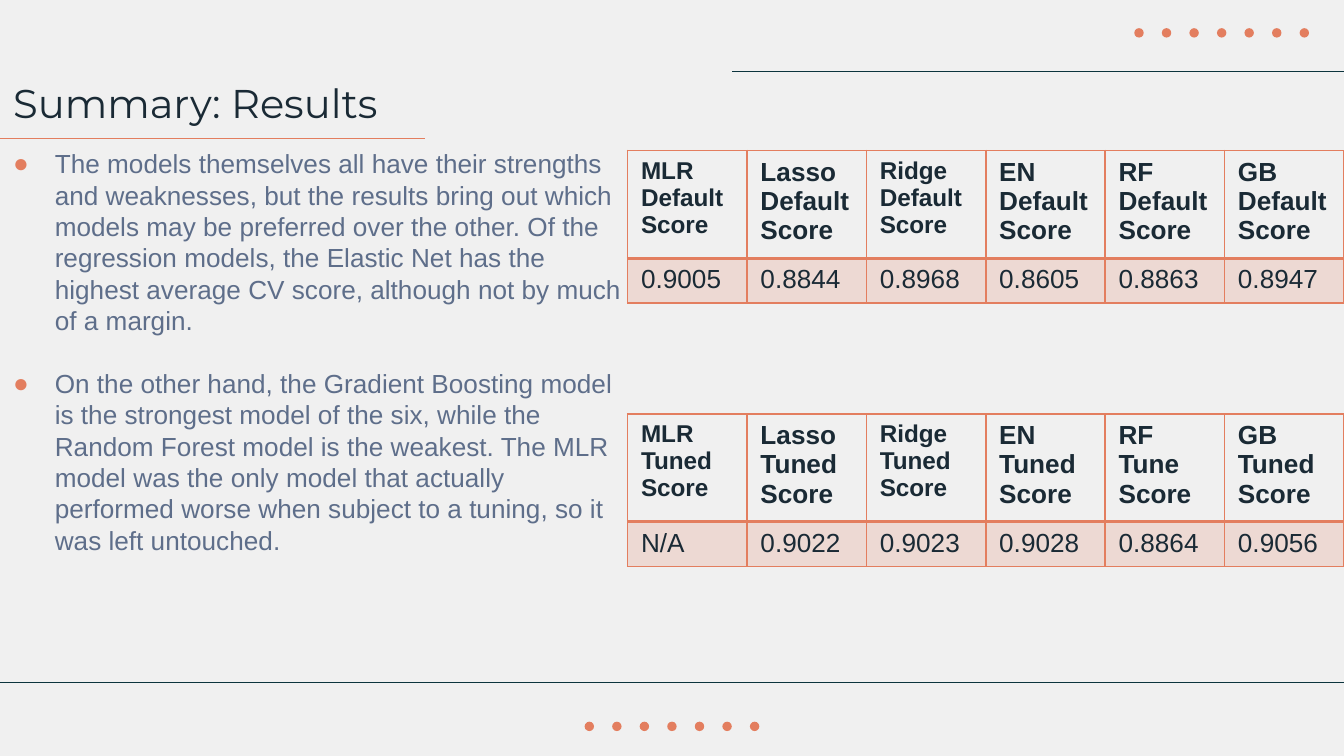
from lxml import etree
from pptx import Presentation
from pptx import util as u
from pptx.dml import color
from pptx.enum import shapes, text
from pptx.oxml import ns

CORAL = "E37E5F"
TEAL = "0C343D"
INK = "1A2A35"
SLATE = "5E6E8A"
DOT_COUNT = 7
DOT_PITCH = 0.205
HEADER_SIZES = [13, 14, 13, 14, 14, 14]
MODELS = ["MLR", "Lasso", "Ridge", "EN", "RF", "GB"]

SUMMARY = [
    "The models themselves all have their strengths and weaknesses, but the "
    "results bring out which models may be preferred over the other. Of the "
    "regression models, the Elastic Net has the highest average CV score, "
    "although not by much of a margin.",
    "On the other hand, the Gradient Boosting model is the strongest model of "
    "the six, while the Random Forest model is the weakest. The MLR model was "
    "the only model that actually performed worse when subject to a tuning, "
    "so it was left untouched.",
]
DEFAULT_SCORES = ["0.9005", "0.8844", "0.8968", "0.8605", "0.8863", "0.8947"]
TUNED_SCORES = ["N/A", "0.9022", "0.9023", "0.9028", "0.8864", "0.9056"]


def rgb(value):
    return color.RGBColor.from_string(value)


def add_element(parent, tag, **attributes):
    return etree.SubElement(parent, ns.qn(tag), attributes)


def add_run(paragraph, words, size, font, colour, bold=False):
    run = paragraph.add_run()
    run.text = words
    run.font.size = u.Pt(size)
    run.font.name = font
    run.font.bold = bold
    run.font.color.rgb = rgb(colour)


def add_rule(slide, left, right, top, colour):
    rule = slide.shapes.add_connector(
        shapes.MSO_CONNECTOR.STRAIGHT,
        u.Inches(left), u.Inches(top), u.Inches(right), u.Inches(top))
    rule.line.color.rgb = rgb(colour)
    rule.line.width = u.Pt(0.75)
    add_element(rule._element.spPr, "a:effectLst")


def add_dots(slide, left, top):
    group = slide.shapes.add_group_shape()
    for index in range(DOT_COUNT):
        dot = group.shapes.add_shape(
            shapes.MSO_SHAPE.OVAL, u.Inches(left + index * DOT_PITCH),
            u.Inches(top), u.Inches(0.07), u.Inches(0.07))
        dot.shadow.inherit = False
        dot.fill.solid()
        dot.fill.fore_color.rgb = rgb(CORAL)
        dot.line.fill.background()


def add_text_frame(slide, left, top, width, height):
    box = slide.shapes.add_textbox(
        u.Inches(left), u.Inches(top), u.Inches(width), u.Inches(height))
    box.text_frame.word_wrap = True
    return box.text_frame


def add_title(slide, words):
    frame = add_text_frame(slide, 0, 0.49, 4.42, 0.54)
    frame.margin_top = frame.margin_bottom = u.Inches(0.1)
    frame.vertical_anchor = text.MSO_ANCHOR.MIDDLE
    add_run(frame.paragraphs[0], words, 21.5, "Montserrat", INK)


def add_bullet(paragraph):
    properties = paragraph._p.get_or_add_pPr()
    properties.set("marL", str(u.Inches(0.31)))
    properties.set("indent", str(-u.Inches(0.31)))
    bullet_colour = add_element(properties, "a:buClr")
    add_element(bullet_colour, "a:srgbClr", val=CORAL)
    add_element(properties, "a:buFont", typeface="Arial")
    add_element(properties, "a:buChar", char="●")


def add_summary(slide, points):
    frame = add_text_frame(slide, 0, 1.05, 4.76, 3.16)
    for index, point in enumerate(points):
        paragraph = frame.add_paragraph() if index else frame.paragraphs[0]
        add_bullet(paragraph)
        if index:
            paragraph.space_before = u.Pt(16.8)
        add_run(paragraph, point, 14, "Arial", SLATE)


def set_borders(cell, bottom_width):
    properties = cell._tc.get_or_add_tcPr()
    widths = {"a:lnL": 1, "a:lnR": 1, "a:lnT": 1, "a:lnB": bottom_width}
    for index, (tag, width) in enumerate(widths.items()):
        border = add_element(properties, tag, w=str(u.Pt(width)))
        fill = add_element(border, "a:solidFill")
        add_element(fill, "a:srgbClr", val=CORAL)
        properties.insert(index, border)


def tint_cell(cell):
    cell.fill.solid()
    cell.fill.fore_color.rgb = rgb(CORAL)
    tint = cell._tc.tcPr.find(".//" + ns.qn("a:srgbClr"))
    add_element(tint, "a:alpha", val="20000")


def add_score_table(slide, top, headers, scores):
    table = slide.shapes.add_table(
        2, len(headers), u.Inches(4.67), u.Inches(top),
        u.Inches(5.33), u.Inches(1.13)).table
    table.horz_banding = False
    table.rows[0].height = u.Inches(0.8)
    table.rows[1].height = u.Inches(0.33)
    for column, (header, score) in enumerate(zip(headers, scores)):
        header_cell = table.cell(0, column)
        header_cell.fill.background()
        set_borders(header_cell, 2)
        add_run(header_cell.text_frame.paragraphs[0], header,
                HEADER_SIZES[column], "Arial", INK, bold=True)
        score_cell = table.cell(1, column)
        tint_cell(score_cell)
        set_borders(score_cell, 1)
        add_run(score_cell.text_frame.paragraphs[0], score, 14, "Arial", INK)


def main():
    presentation = Presentation()
    presentation.slide_width = u.Inches(10)
    presentation.slide_height = u.Inches(10 * 9 / 16)
    slide = presentation.slides.add_slide(presentation.slide_layouts[6])
    slide.background.fill.solid()
    slide.background.fill.fore_color.rgb = rgb("F0F0F0")

    add_rule(slide, -0.61, 10.2, 5.08, TEAL)
    add_dots(slide, 4.35, 5.37)
    add_rule(slide, 5.45, 10.1, 0.53, TEAL)
    add_dots(slide, 8.44, 0.21)
    add_title(slide, "Summary: Results")
    add_rule(slide, -0.16, 3.16, 1.03, CORAL)
    add_summary(slide, SUMMARY)

    default_headers = [f"{model} Default Score" for model in MODELS]
    tuned_headers = [f"{model} {'Tune' if model == 'RF' else 'Tuned'} Score"
                     for model in MODELS]
    add_score_table(slide, 1.12, default_headers, DEFAULT_SCORES)
    add_score_table(slide, 3.08, tuned_headers, TUNED_SCORES)
    presentation.save("out.pptx")


if __name__ == "__main__":
    main()
